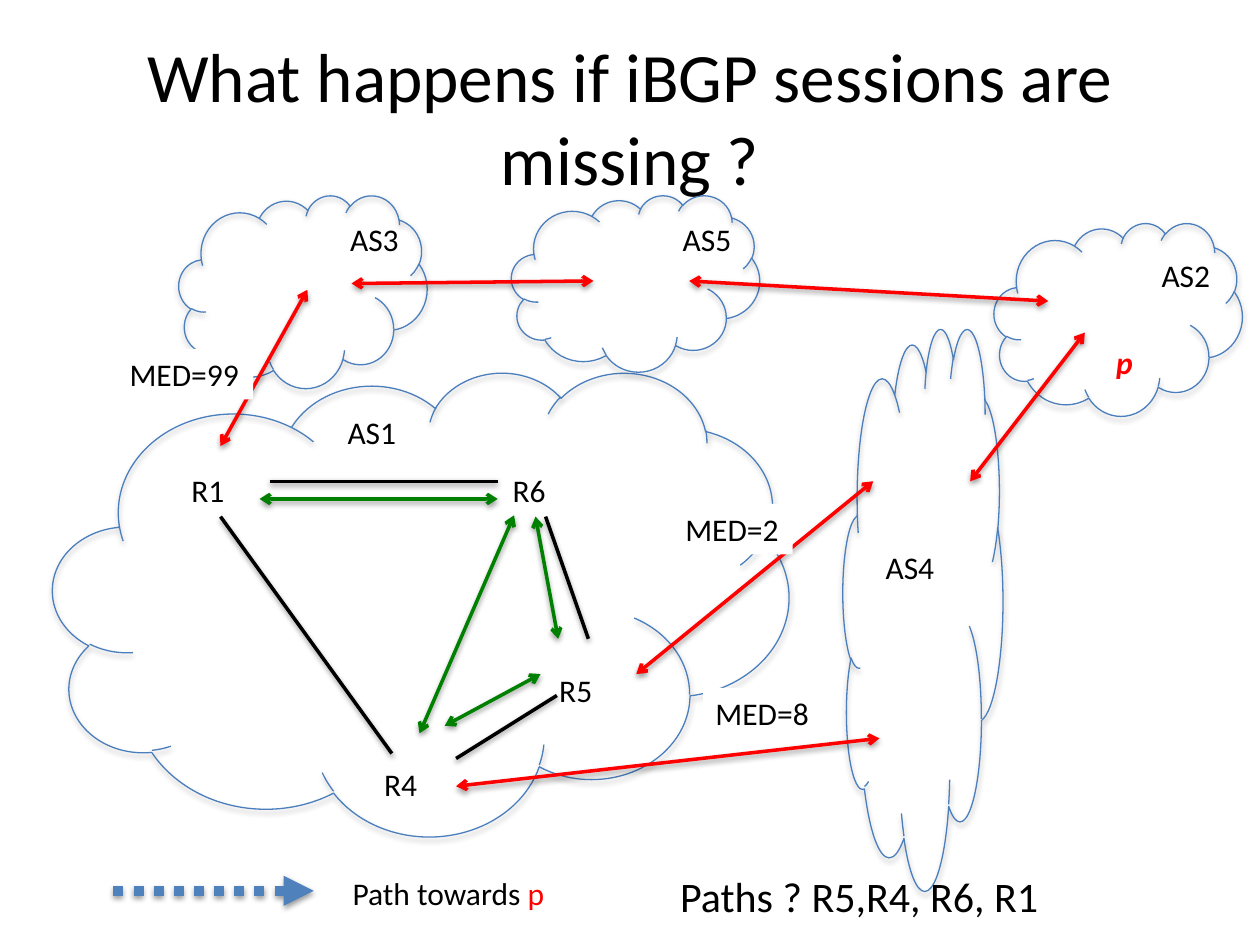
"""Build the slide on missing iBGP sessions."""
import pptx
import pptx.util
import pptx.dml.color
import pptx.enum.dml
import pptx.enum.shapes
import pptx.enum.text
import pptx.oxml
import pptx.oxml.ns

PX = 9144
BLACK, RED, GREEN, WHITE = "000000", "FF0000", "008000", "FFFFFF"
EDGE, BLUE = "4B7EBC", "4F81BD"
NS = pptx.oxml.ns.nsdecls("a")

CLOUDS = [
    (42, 295, 584, 368),
    (669, 260, 127, 446),
    (789, 177, 197, 153),
    (142, 155, 197, 153),
    (406, 155, 197, 140),
]
LINKS = [
    (214, 382, 395, 382),
    (175, 410, 311, 598),
    (362, 602, 442, 552),
    (467, 507, 433, 410),
]
EBGP = [
    (362, 624, 698, 586),
    (505, 535, 693, 382),
    (547, 223, 832, 239),
    (770, 382, 861, 264),
    (175, 354, 244, 230),
    (279, 225, 471, 223),
]
IBGP = [
    (395, 396, 206, 396),
    (429, 535, 353, 576),
    (333, 582, 408, 409),
    (443, 507, 425, 410),
]
NAMES = [
    ("AS1", 266, 323, 59), ("AS2", 912, 198, 59), ("AS3", 268, 170, 59),
    ("AS4", 693, 430, 59), ("AS5", 532, 170, 59), ("R1", 142, 369, 47),
    ("R4", 295, 602, 47), ("R5", 434, 528, 47), ("R6", 397, 369, 47),
]
MEDS = [("MED=2", 534, 400, 95), ("MED=8", 558, 546, 95), ("MED=99", 93, 277, 108)]


def px(*sizes):
    """Turn px into EMU."""
    return [pptx.util.Emu(size * PX) for size in sizes]


def rgb(code):
    """Turn a hex string into a colour."""
    return pptx.dml.color.RGBColor.from_string(code)


def add_xml(node, xml):
    """Append a piece of DrawingML to a node."""
    node.append(pptx.oxml.parse_xml(xml))


def shade(shape, alpha, dist):
    """Give a shape a soft shadow straight below it."""
    add_xml(shape._element.spPr, (
        f'<a:effectLst {NS}><a:outerShdw blurRad="40000" dist="{dist}" '
        f'dir="5400000" rotWithShape="0"><a:srgbClr val="{BLACK}">'
        f'<a:alpha val="{alpha}000"/></a:srgbClr></a:outerShdw></a:effectLst>'))


def write(para, text, size=18, color=BLACK, bold=None, italic=None, rim=None):
    """Add a formatted run to a paragraph."""
    run = para.add_run()
    run.text = text
    font = run.font
    font.name, font.size = "Calibri", pptx.util.Pt(size)
    font.bold, font.italic = bold, italic
    font.color.rgb = rgb(color)
    if rim:
        font._element.insert(0, pptx.oxml.parse_xml(
            f'<a:ln {NS} w="9525"><a:solidFill><a:srgbClr val="{rim}"/>'
            '</a:solidFill></a:ln>'))


def label(slide, left, top, width, height=40, fill=None):
    """Add a text box and return its paragraph."""
    box = slide.shapes.add_textbox(*px(left, top, width, height))
    if fill:
        box.fill.solid()
        box.fill.fore_color.rgb = rgb(fill)
    frame = box.text_frame
    frame.word_wrap = False
    frame.auto_size = pptx.enum.text.MSO_AUTO_SIZE.SHAPE_TO_FIT_TEXT
    return frame.paragraphs[0]


def cloud(slide, *place):
    """Draw the outline of a network."""
    shape = slide.shapes.add_shape(pptx.enum.shapes.MSO_SHAPE.CLOUD, *px(*place))
    shape.fill.background()
    shape.line.color.rgb = rgb(EDGE)
    shape.line.width = pptx.util.Pt(0.75)
    shade(shape, 35, 23000)


def line(slide, ends, color, width=2, head=None, tail=None, dash=None):
    """Draw a straight line with optional arrowheads."""
    link = slide.shapes.add_connector(
        pptx.enum.shapes.MSO_CONNECTOR.STRAIGHT, *px(*ends))
    link.line.color.rgb = rgb(color)
    link.line.width = pptx.util.Pt(width)
    if dash:
        link.line.dash_style = dash
    for tag, kind in (("headEnd", head), ("tailEnd", tail)):
        if kind:
            add_xml(link.line._get_or_add_ln(), f'<a:{tag} {NS} type="{kind}"/>')
    shade(link, 38, 20000)


def title(slide, text):
    """Place and fill the title."""
    shape = slide.shapes.title
    shape.left, shape.top, shape.width, shape.height = px(50, 30, 900, 125)
    frame = shape.text_frame
    frame.word_wrap = True
    frame.vertical_anchor = pptx.enum.text.MSO_ANCHOR.MIDDLE
    para = frame.paragraphs[0]
    para.alignment = pptx.enum.text.PP_ALIGN.CENTER
    write(para, text, size=39.6)


def main():
    """Build and save the slide."""
    deck = pptx.Presentation()
    deck.slide_width, deck.slide_height = px(1000, 750)
    slide = deck.slides.add_slide(deck.slide_layouts[5])
    title(slide, "What happens if iBGP sessions are missing ?")

    for place in CLOUDS:
        cloud(slide, *place)
    for ends in LINKS:
        line(slide, ends, BLACK)
    for color, group in ((RED, EBGP), (GREEN, IBGP)):
        for ends in group:
            line(slide, ends, color, head="arrow", tail="arrow")
    for text, *place in NAMES:
        write(label(slide, *place), text)
    write(label(slide, 876, 267, 39), "p", color=RED, bold=True, italic=True)

    line(slide, (90, 707, 249, 707), BLUE, width=5.75, tail="triangle",
         dash=pptx.enum.dml.MSO_LINE.ROUND_DOT)
    legend = label(slide, 270, 689, 174)
    write(legend, "Path towards ")
    write(legend, "p", color=RED)

    for text, *place in MEDS:
        write(label(slide, *place, fill=WHITE), text, rim=RED)
    write(label(slide, 530, 686, 307, 50), "Paths ? R5,R4, R6, R1", size=24)
    deck.save("out.pptx")


if __name__ == "__main__":
    main()
